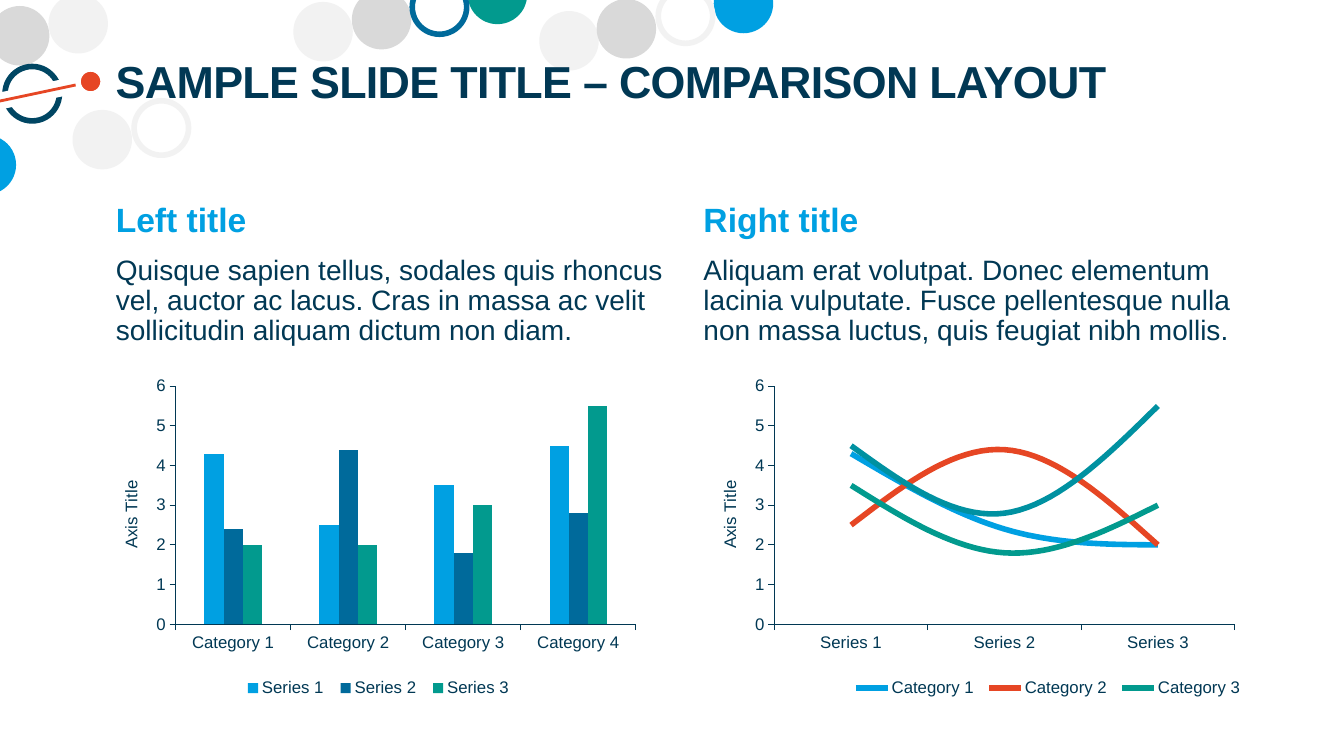
from dataclasses import dataclass

from lxml.etree import SubElement, Element
from pptx import Presentation
from pptx.chart.data import CategoryChartData as Data
from pptx.dml.color import RGBColor as Color
from pptx.enum.chart import XL_CHART_TYPE as Kind
from pptx.enum.chart import XL_LEGEND_POSITION as Spot
from pptx.enum.chart import XL_TICK_MARK as Tick
from pptx.enum.shapes import MSO_CONNECTOR as Link
from pptx.enum.shapes import MSO_SHAPE as Shape
from pptx.enum.text import MSO_ANCHOR as Anchor
from pptx.oxml.ns import qn
from pptx.util import Pt


@dataclass(frozen=True)
class Theme:
    font: str = "Arial"
    navy: str = "013854"
    sky: str = "00A0E2"
    blue: str = "006A9B"
    deep: str = "004663"
    green: str = "029A8E"
    teal: str = "0091A1"
    red: str = "E64624"
    grey: str = "D9D9D9"
    pale: str = "F2F2F2"
    white: str = "FFFFFF"
    title: float = 32
    head: float = 24
    body: float = 20
    label: float = 12


T = Theme()
DISCS = [
    (-31, 96.5, T.sky), (-7.2, 4.3, T.grey), (51.8, 78.5, T.pale),
    (34.6, -4.3, T.pale), (209.5, 1.4, T.pale), (251.3, -7.2, T.grey),
    (385.2, 7.9, T.pale), (334.1, -25.2, T.green), (426.2, -0.7, T.grey),
    (509.8, -18.7, T.sky),
]
RINGS = [
    (470.2, -7.9, T.pale), (95.8, 72, T.pale),
    (294.5, -14.4, T.blue), (3.6, 47.5, T.deep),
]
PARTS = [
    (75.6, 406, "Left title",
     "Quisque sapien tellus, sodales quis rhoncus vel, auctor ac lacus. "
     "Cras in massa ac velit sollicitudin aliquam dictum non diam."),
    (495.4, 408, "Right title",
     "Aliquam erat volutpat. Donec elementum lacinia vulputate. "
     "Fusce pellentesque nulla non massa luctus, quis feugiat nibh mollis."),
]


def style(font, size, color=T.navy, bold=False):
    font.name, font.size, font.bold = T.font, Pt(size), bold
    font.color.rgb = Color.from_string(color)


def stroke(line, color, width):
    line.color.rgb = Color.from_string(color)
    line.width = Pt(width)


def circle(slide, x, y, size, fill=None, line=None):
    dot = slide.shapes.add_shape(Shape.OVAL, Pt(x), Pt(y), Pt(size), Pt(size))
    dot.shadow.inherit = False
    if fill:
        dot.fill.solid()
        dot.fill.fore_color.rgb = Color.from_string(fill)
    else:
        dot.fill.background()
    if line:
        stroke(dot.line, line, 4)
    else:
        dot.line.fill.background()


def streak(slide, color, width):
    line = slide.shapes.add_connector(
        Link.STRAIGHT, Pt(-64), Pt(85.7), Pt(65.5), Pt(58.3))
    stroke(line.line, color, width)
    SubElement(line._element.spPr, qn("a:effectLst"))


def write(slide, text, x, y, w, h, *, size, color=T.navy, bold=False,
          track=None, anchor=Anchor.MIDDLE):
    frame = slide.shapes.add_textbox(Pt(x), Pt(y), Pt(w), Pt(h)).text_frame
    frame.word_wrap = True
    frame.vertical_anchor = anchor
    para = frame.paragraphs[0]
    para.line_spacing = 0.9
    run = para.add_run()
    run.text = text
    style(run.font, size, color, bold)
    if track:
        run.font._element.set("spc", str(track))


def place(part, index, box, inner=False):
    """Give a chart part a fixed box, in shares of the chart's size."""
    for old in part.findall(qn("c:layout")):
        part.remove(old)
    layout = Element(qn("c:layout"))
    part.insert(index, layout)
    manual = SubElement(layout, qn("c:manualLayout"))
    pairs = [("layoutTarget", "inner")] if inner else []
    pairs += [("xMode", "edge"), ("yMode", "edge"), *zip("xywh", box)]
    for name, value in pairs:
        SubElement(manual, qn("c:" + name)).set("val", str(value))


def graph(slide, kind, x, cats, rows, key):
    """Add a chart; rows hold name, values and colour, key the legend box."""
    data = Data()
    data.categories = cats
    for name, values, _ in rows:
        data.add_series(name, values)
    chart = slide.shapes.add_chart(
        kind, Pt(x), Pt(263.5), Pt(389.5), Pt(237.6), data).chart
    style(chart.font, T.label)
    chart.has_title = False
    for axis in (chart.category_axis, chart.value_axis):
        axis.has_major_gridlines = False
        axis.major_tick_mark, axis.minor_tick_mark = Tick.OUTSIDE, Tick.NONE
        style(axis.tick_labels.font, T.label)
        stroke(axis.format.line, T.navy, 0.75)
    axis = chart.value_axis
    axis.minimum_scale, axis.maximum_scale, axis.major_unit = 0, 6, 1
    run = axis.axis_title.text_frame.paragraphs[0].add_run()
    run.text = "Axis Title"
    style(run.font, T.label)
    chart.has_legend = True
    chart.legend.position = Spot.BOTTOM
    chart.legend.include_in_layout = False
    style(chart.legend.font, T.label)
    place(chart.legend._element, 1, key)
    place(chart._chartSpace.chart.plotArea, 0,
          (0.128, 0.052, 0.844, 0.716), inner=True)
    plot = chart.plots[0]
    plot.vary_by_categories = False
    for line, (_, _, color) in zip(plot.series, rows):
        if kind == Kind.LINE:
            line.smooth = True
            stroke(line.format.line, color, 4)
        else:
            line.format.fill.solid()
            line.format.fill.fore_color.rgb = Color.from_string(color)
    return chart


def hide(legend, index):
    """Leave one series out of the legend."""
    entry = Element(qn("c:legendEntry"))
    legend._element.insert(1, entry)
    SubElement(entry, qn("c:idx")).set("val", str(index))
    SubElement(entry, qn("c:delete")).set("val", "1")


def main():
    deck = Presentation()
    deck.slide_width, deck.slide_height = Pt(960), Pt(540)
    slide = deck.slides.add_slide(deck.slide_layouts[6])
    for x, y, color in DISCS:
        circle(slide, x, y, 42.5, fill=color)
    for x, y, color in RINGS:
        circle(slide, x, y, 38.9, line=color)
    streak(slide, T.white, 12)
    streak(slide, T.red, 2)
    circle(slide, 55.7, 49.2, 18, fill=T.red, line=T.white)

    write(slide, "SAMPLE SLIDE TITLE – COMPARISON LAYOUT", 75.6, 38.9, 828,
          42.5, size=T.title, bold=True, track=-50)
    for x, w, head, body in PARTS:
        write(slide, head, x, 141.8, w, 33.1, size=T.head, color=T.sky,
              bold=True)
        write(slide, body, x, 179.3, w, 72.7, size=T.body, anchor=Anchor.TOP)

    graph(slide, Kind.COLUMN_CLUSTERED, 75.6,
          [f"Category {n}" for n in range(1, 5)],
          [("Series 1", (4.3, 2.5, 3.5, 4.5), T.sky),
           ("Series 2", (2.4, 4.4, 1.8, 2.8), T.blue),
           ("Series 3", (2, 2, 3, 5.5), T.green)],
          (0.24, 0.92, 0.52, 0.08)).plots[0].gap_width = 300
    lines = graph(slide, Kind.LINE, 503.3,
                  [f"Series {n}" for n in range(1, 4)],
                  [("Category 1", (4.3, 2.4, 2), T.sky),
                   ("Category 2", (2.5, 4.4, 2), T.red),
                   ("Category 3", (3.5, 1.8, 3), T.green),
                   ("Category 4", (4.5, 2.8, 5.5), T.teal)],
                  (0.26, 0.92, 0.74, 0.08))
    hide(lines.legend, 3)
    deck.save("out.pptx")


if __name__ == "__main__":
    main()
